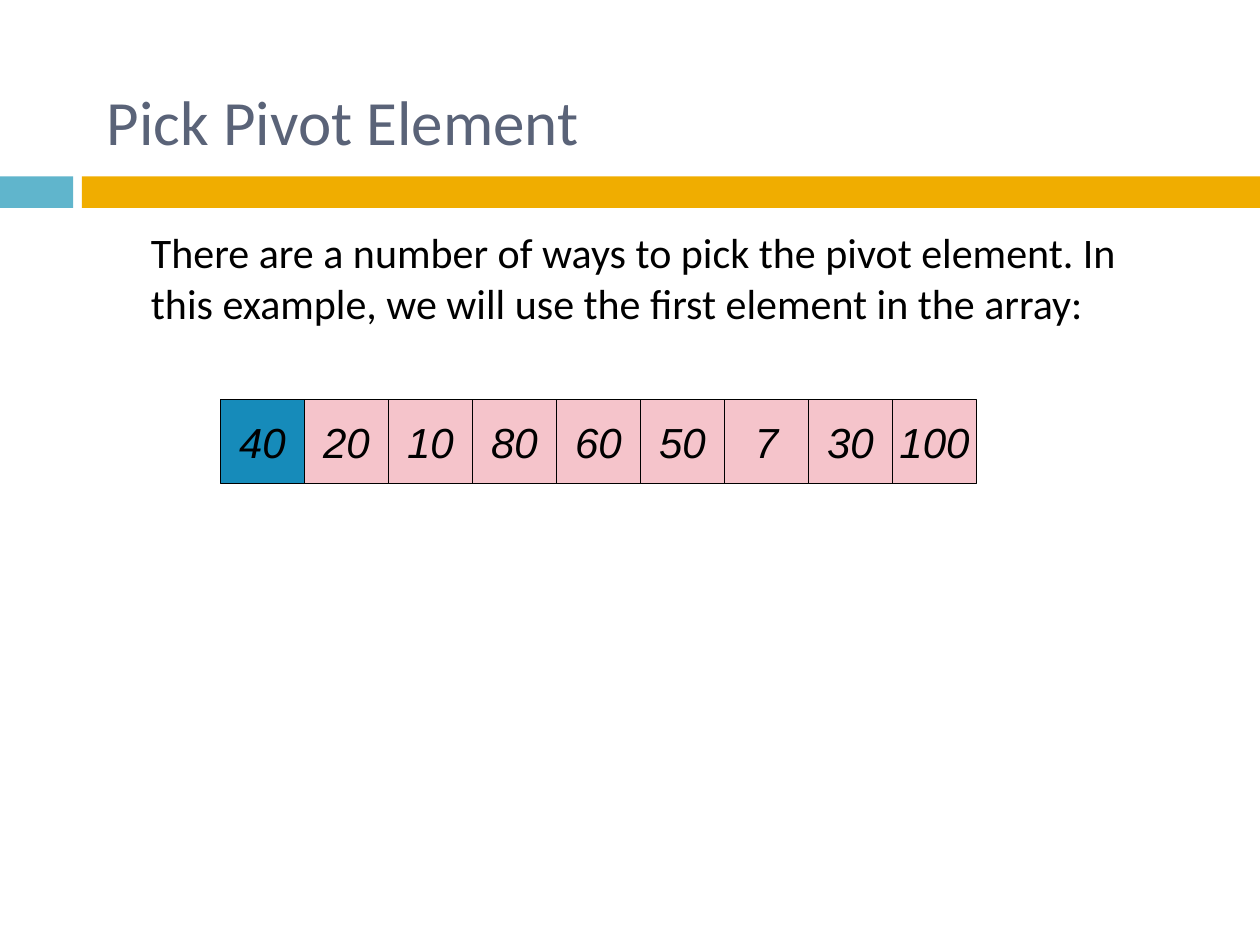
import pptx
import pptx.dml.color
import pptx.enum.shapes
import pptx.enum.text
import pptx.util

COLORS = {
    "teal": "60B5CC",
    "amber": "F0AD00",
    "title": "5A6378",
    "black": "000000",
    "pivot": "168BBA",
    "element": "F5C4CB",
}
VALUES = [40, 20, 10, 80, 60, 50, 7, 30, 100]

WIDTH = pptx.util.Inches(10)
HEIGHT = pptx.util.Inches(7.5)
CELL = WIDTH / 15  # side of one square array cell
ARRAY_LEFT = WIDTH * 0.175
ARRAY_TOP = pptx.util.Inches(3.17)
TEXT_LEFT = WIDTH * 0.075
TEXT_WIDTH = WIDTH * 0.85


def color(name):
    return pptx.dml.color.RGBColor.from_string(COLORS[name])


def format_text(paragraph, font_name, size, color_name, italic=False):
    for run in paragraph.runs:
        run.font.name = font_name
        run.font.size = pptx.util.Pt(size)
        run.font.italic = italic
        run.font.color.rgb = color(color_name)


def add_rectangle(slide, left, top, width, height, fill):
    shape = slide.shapes.add_shape(
        pptx.enum.shapes.MSO_SHAPE.RECTANGLE,
        round(left), round(top), round(width), round(height))
    shape.shadow.inherit = False
    shape.fill.solid()
    shape.fill.fore_color.rgb = color(fill)
    shape.line.fill.background()
    return shape


def add_text(slide, top, height, text, size, color_name, anchor):
    shape = slide.shapes.add_textbox(
        round(TEXT_LEFT), round(top), round(TEXT_WIDTH), round(height))
    text_frame = shape.text_frame
    text_frame.word_wrap = True
    text_frame.vertical_anchor = anchor
    text_frame.text = text
    paragraph = text_frame.paragraphs[0]
    format_text(paragraph, "Calibri", size, color_name)
    return paragraph


def add_array_cell(slide, column, value, fill):
    shape = add_rectangle(
        slide, ARRAY_LEFT + column * CELL, ARRAY_TOP, CELL, CELL, fill)
    shape.line.color.rgb = color("black")
    shape.line.width = pptx.util.Pt(0.75)
    text_frame = shape.text_frame
    text_frame.word_wrap = False
    text_frame.vertical_anchor = pptx.enum.text.MSO_ANCHOR.MIDDLE
    text_frame.text = str(value)
    paragraph = text_frame.paragraphs[0]
    paragraph.alignment = pptx.enum.text.PP_ALIGN.CENTER
    format_text(paragraph, "Arial", 24, "black", italic=True)


def main():
    presentation = pptx.Presentation()
    presentation.slide_width = WIDTH
    presentation.slide_height = HEIGHT
    slide = presentation.slides.add_slide(presentation.slide_layouts[6])

    # Two-colour band below the title
    band_top, band_height = pptx.util.Inches(1.4), HEIGHT / 30
    add_rectangle(slide, 0, band_top, WIDTH * 0.058, band_height, "teal")
    add_rectangle(
        slide, WIDTH * 0.065, band_top, WIDTH * 0.935, band_height, "amber")

    # Title and explanation
    add_text(slide, pptx.util.Inches(0.33), HEIGHT / 6, "Pick Pivot Element",
             36, "title", pptx.enum.text.MSO_ANCHOR.MIDDLE)
    explanation = add_text(
        slide, pptx.util.Inches(1.75), HEIGHT * 0.6,
        "There are a number of ways to pick the pivot element. In this "
        "example, we will use the first element in the array:",
        24, "black", pptx.enum.text.MSO_ANCHOR.TOP)
    explanation.space_before = pptx.util.Pt(7)
    properties = explanation._p.get_or_add_pPr()
    properties.set("marL", str(pptx.util.Inches(0.35)))
    properties.set("indent", "0")

    # Array with its first element as the pivot
    for column, value in enumerate(VALUES):
        add_array_cell(
            slide, column, value, "pivot" if column == 0 else "element")

    presentation.save("out.pptx")


if __name__ == "__main__":
    main()
